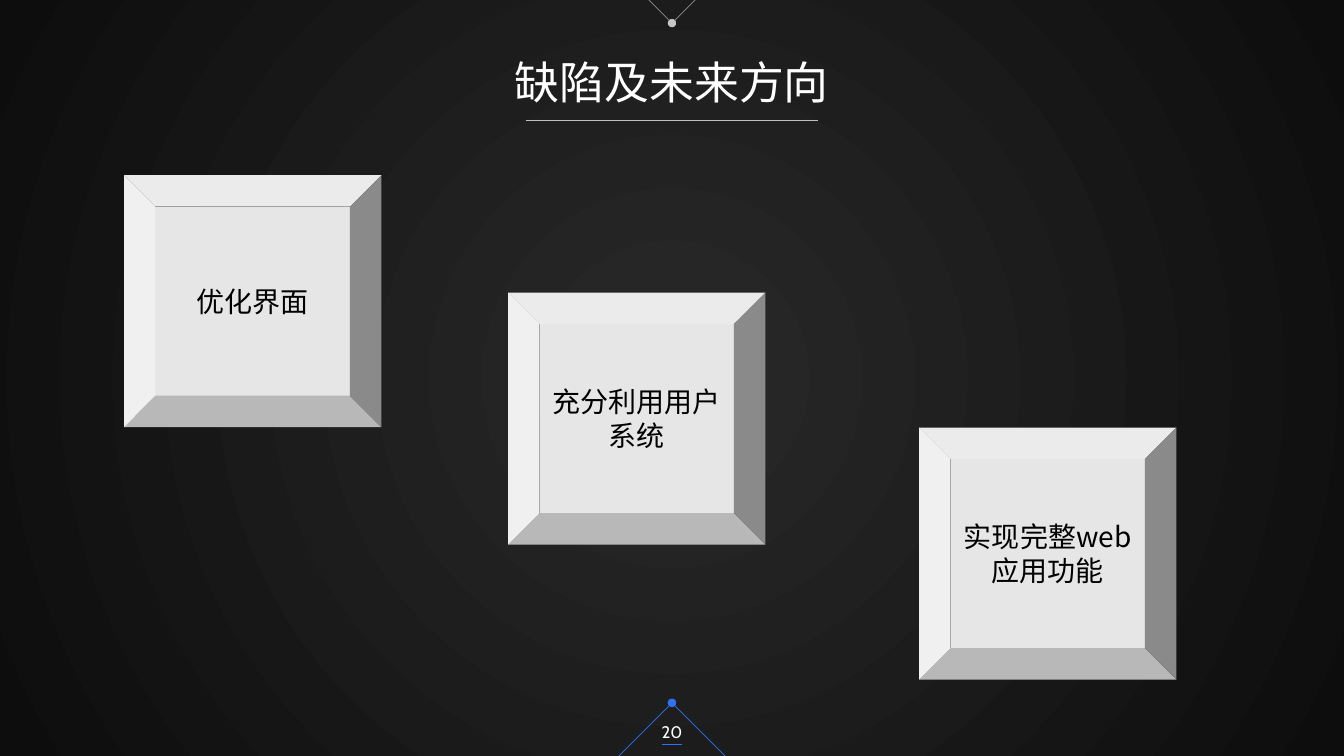
from dataclasses import dataclass

from lxml.etree import SubElement
from pptx import Presentation
from pptx.dml.color import RGBColor
from pptx.enum.shapes import MSO_CONNECTOR, MSO_SHAPE
from pptx.enum.text import MSO_ANCHOR, MSO_AUTO_SIZE, PP_ALIGN
from pptx.oxml.ns import qn
from pptx.util import Pt


@dataclass(frozen=True)
class Theme:
    glow: str = "262626"
    edge: str = "0D0D0D"
    white: str = "FFFFFF"
    rule: str = "BFBFBF"
    accent: str = "2E72F1"
    tile: str = "E7E6E6"
    ink: str = "000000"
    latin: str = "Cabin"
    chinese: str = "Noto Sans CJK SC"
    title_size: int = 32
    tile_size: int = 20
    number_size: int = 12
    line_width: float = 0.5


THEME = Theme()
WIDTH, HEIGHT = 960, 540
CENTRE = WIDTH / 2


def write(frame, text, size, color, font, anchor=MSO_ANCHOR.MIDDLE):
    frame.word_wrap = True
    frame.auto_size = MSO_AUTO_SIZE.NONE
    frame.vertical_anchor = anchor
    paragraph = frame.paragraphs[0]
    paragraph.alignment = PP_ALIGN.CENTER
    run = paragraph.add_run()
    run.text = text
    run.font.size = Pt(size)
    run.font.name = font
    run.font.color.rgb = RGBColor.from_string(color)
    if font == THEME.chinese:
        SubElement(run.font._element, qn("a:ea"), typeface=font)


def draw_line(slide, start, end, color, dot=False, alpha=None):
    line = slide.shapes.add_connector(
        MSO_CONNECTOR.STRAIGHT, *(Pt(value) for value in (*start, *end)))
    line.line.width = Pt(THEME.line_width)
    line.line.color.rgb = RGBColor.from_string(color)
    properties = line._element.spPr
    outline = properties.find(qn("a:ln"))
    if alpha:
        SubElement(outline.find(".//" + qn("a:srgbClr")), qn("a:alpha"),
                   val=str(alpha * 1000))
    if dot:
        SubElement(outline, qn("a:tailEnd"), type="oval")
    SubElement(properties, qn("a:effectLst"))


def draw_chevron(slide, apex_y, foot_y, color, alpha=None):
    reach = abs(foot_y - apex_y)
    for side in (-1, 1):
        draw_line(slide, (CENTRE + side * reach, foot_y), (CENTRE, apex_y),
                  color, dot=True, alpha=alpha)


def paint_background(slide):
    fill = slide.background.fill
    fill.gradient()
    stops = ((0.11, THEME.glow), (1, THEME.edge))
    for stop, (position, color) in zip(fill.gradient_stops, stops):
        stop.position = position
        stop.color.rgb = RGBColor.from_string(color)
    gradient = slide._element.find(".//" + qn("a:gradFill"))
    gradient.remove(gradient.find(qn("a:lin")))
    circle = SubElement(gradient, qn("a:path"), path="circle")
    SubElement(circle, qn("a:fillToRect"),
               {side: "50000" for side in "ltrb"})


def add_header(slide, text, left, top, width, height):
    draw_chevron(slide, 16.5, 0, THEME.white, alpha=50)
    title = slide.shapes.title
    title.left, title.top = Pt(left), Pt(top)
    title.width, title.height = Pt(width), Pt(height)
    write(title.text_frame, text, THEME.title_size, THEME.white,
          THEME.latin, anchor=MSO_ANCHOR.TOP)
    rule_y = top + height + 4.5
    draw_line(slide, (CENTRE - 104.5, rule_y), (CENTRE + 104.5, rule_y),
              THEME.rule)


def add_tile(slide, text, left, top, width, height):
    tile = slide.shapes.add_shape(
        MSO_SHAPE.BEVEL, Pt(left), Pt(top), Pt(width), Pt(height))
    tile.shadow.inherit = False
    tile.fill.solid()
    tile.fill.fore_color.rgb = RGBColor.from_string(THEME.tile)
    tile.line.fill.background()
    write(tile.text_frame, text, THEME.tile_size, THEME.ink, THEME.chinese)


def add_page_number(slide, text, left, top, width, height):
    draw_chevron(slide, 502, HEIGHT, THEME.accent)
    rule_y = top + height - 5.5
    draw_line(slide, (CENTRE - 7, rule_y), (CENTRE + 7, rule_y), THEME.accent)
    number = slide.shapes.add_textbox(
        Pt(left), Pt(top), Pt(width), Pt(height))
    write(number.text_frame, text, THEME.number_size, THEME.white,
          THEME.latin)


def main():
    deck = Presentation()
    deck.slide_width, deck.slide_height = Pt(WIDTH), Pt(HEIGHT)
    slide = deck.slides.add_slide(deck.slide_layouts[5])
    paint_background(slide)
    add_header(slide, "缺陷及未来方向", 353, 35.3, 254, 46)
    tiles = (("优化界面", 88.6, 125.2),
             ("充分利用用户系统", 363, 209),
             ("实现完整web应用功能", 656.5, 305.4))
    for text, left, top in tiles:
        add_tile(slide, text, left, top, 183.8, 180)
    add_page_number(slide, "20", 455, 508.3, 50, 28.8)
    deck.save("out.pptx")


if __name__ == "__main__":
    main()
